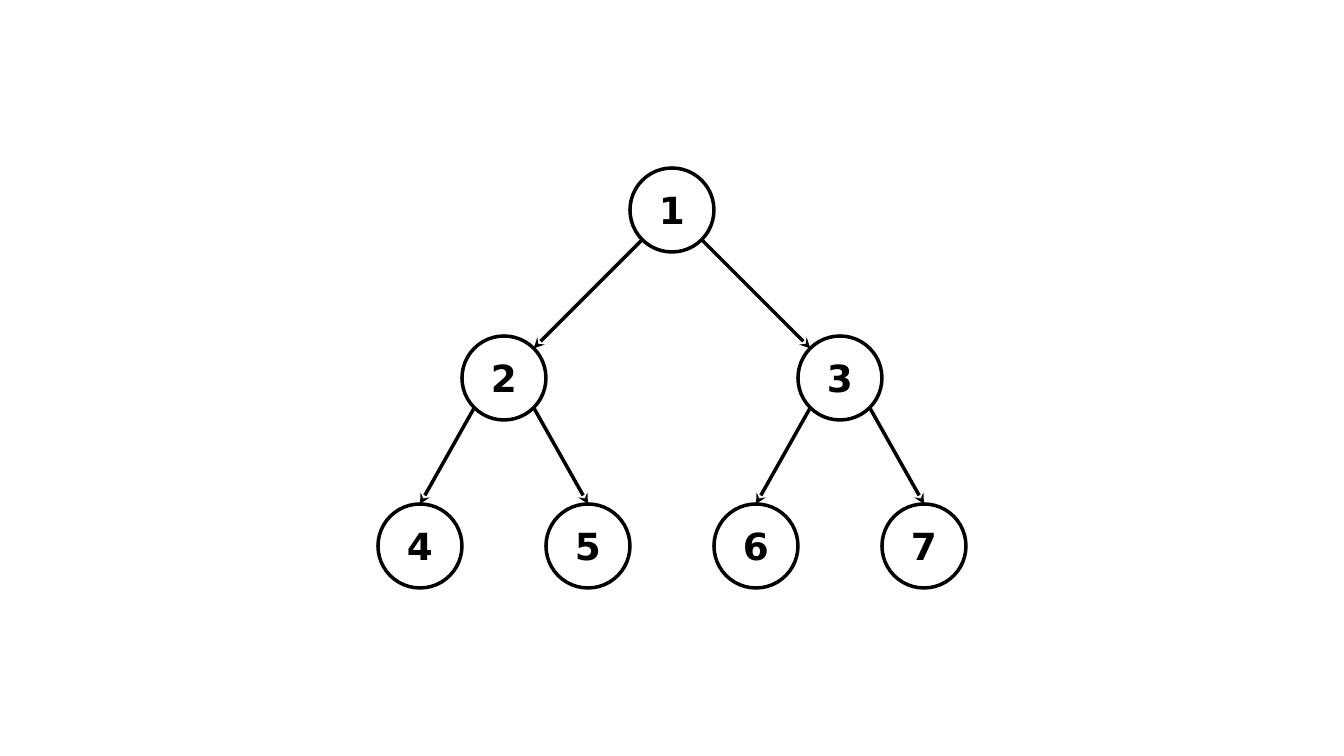
import math

from lxml import etree
from pptx import Presentation
from pptx import util as u
from pptx.dml.color import RGBColor
from pptx.enum import shapes, text
from pptx.oxml.ns import qn

BLACK = RGBColor(0x00, 0x00, 0x00)
WHITE = RGBColor(0xFF, 0xFF, 0xFF)
FONT = "DejaVu Sans"
LINE_WIDTH = u.Pt(3)
DIAMETER = u.Cm(2.54)
LEVELS = [["1"], ["2", "3"], ["4", "5", "6", "7"]]


def add_node(group, label, center):
    x, y = center
    radius = DIAMETER // 2
    node = group.shapes.add_shape(
        shapes.MSO_SHAPE.OVAL, x - radius, y - radius, DIAMETER, DIAMETER
    )
    node.shadow.inherit = False
    node.fill.solid()
    node.fill.fore_color.rgb = WHITE
    node.line.color.rgb = BLACK
    node.line.width = LINE_WIDTH
    frame = node.text_frame
    frame.vertical_anchor = text.MSO_ANCHOR.MIDDLE
    paragraph = frame.paragraphs[0]
    paragraph.text = label
    paragraph.alignment = text.PP_ALIGN.CENTER
    paragraph.font.name = FONT
    paragraph.font.size = u.Pt(32)
    paragraph.font.bold = True
    paragraph.font.color.rgb = BLACK


def add_arrow(group, parent, child, child_is_leaf):
    diagonal = round(DIAMETER / 2 * math.cos(math.pi / 4))
    side = 1 if child[0] > parent[0] else -1
    start = parent[0] + side * diagonal, parent[1] + diagonal
    if child_is_leaf:
        end = child[0], child[1] - DIAMETER // 2
    else:
        end = child[0] - side * diagonal, child[1] - diagonal
    arrow = group.shapes.add_connector(shapes.MSO_CONNECTOR.STRAIGHT, *start, *end)
    arrow.line.color.rgb = BLACK
    arrow.line.width = LINE_WIDTH
    etree.SubElement(arrow.line._get_or_add_ln(), qn("a:tailEnd"), type="stealth")
    etree.SubElement(arrow._element.spPr, qn("a:effectLst"))


def add_tree(slide, left, top, width, height):
    group = slide.shapes.add_group_shape()
    row_step = (height - DIAMETER) // (len(LEVELS) - 1)
    centers = [
        [
            (
                left + width * (2 * column + 1) // (2 * len(labels)),
                top + DIAMETER // 2 + row * row_step,
            )
            for column in range(len(labels))
        ]
        for row, labels in enumerate(LEVELS)
    ]
    for row in range(1, len(LEVELS)):
        for column, child in enumerate(centers[row]):
            parent = centers[row - 1][column // 2]
            add_arrow(group, parent, child, row == len(LEVELS) - 1)
    for labels, row_centers in zip(LEVELS, centers):
        for label, center in zip(labels, row_centers):
            add_node(group, label, center)


def main():
    presentation = Presentation()
    presentation.slide_width = u.Cm(40.64)
    presentation.slide_height = u.Cm(22.86)
    slide = presentation.slides.add_slide(presentation.slide_layouts[6])
    add_tree(slide, u.Cm(10.16), u.Cm(5.08), u.Cm(20.32), u.Cm(12.7))
    presentation.save("out.pptx")


if __name__ == "__main__":
    main()
